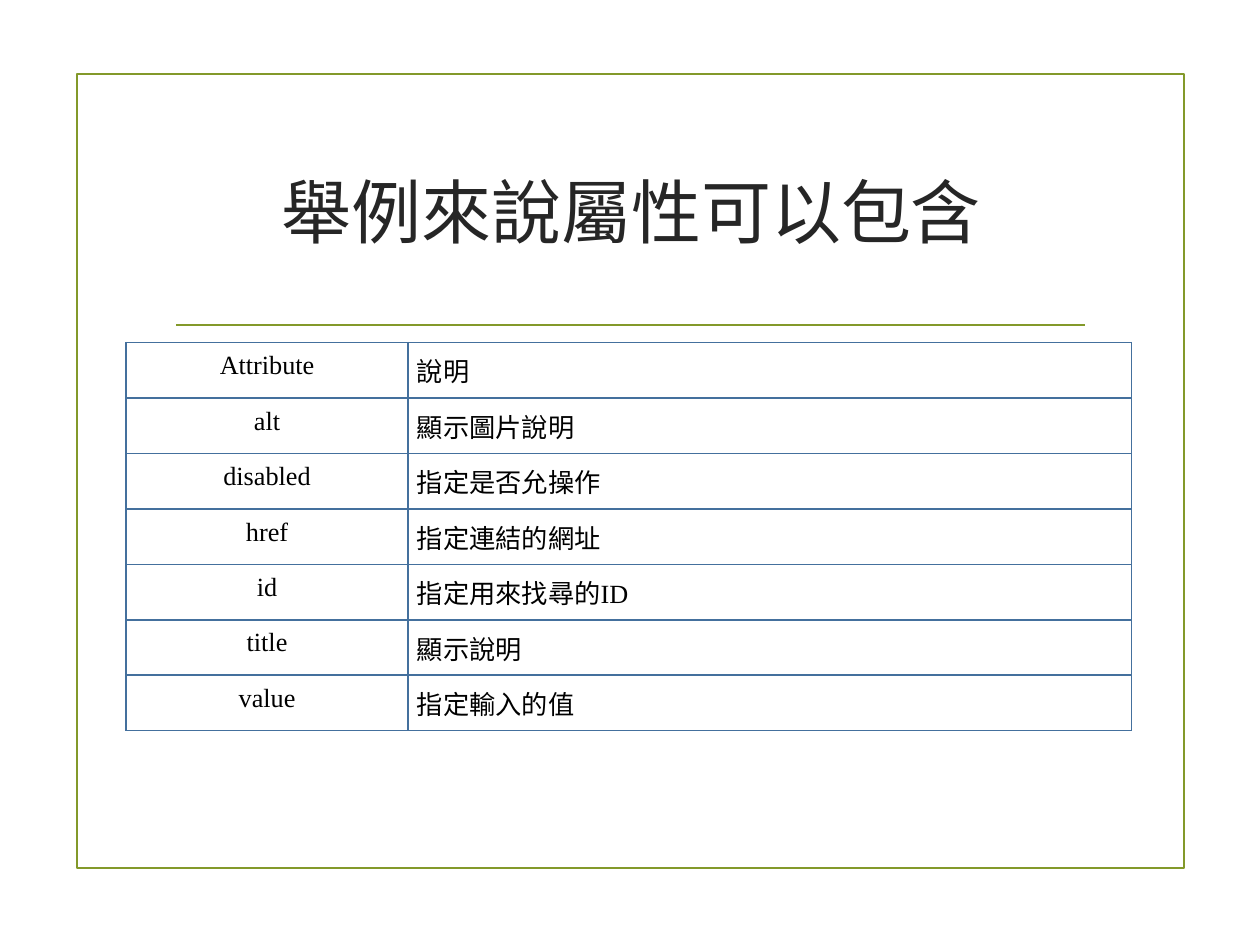
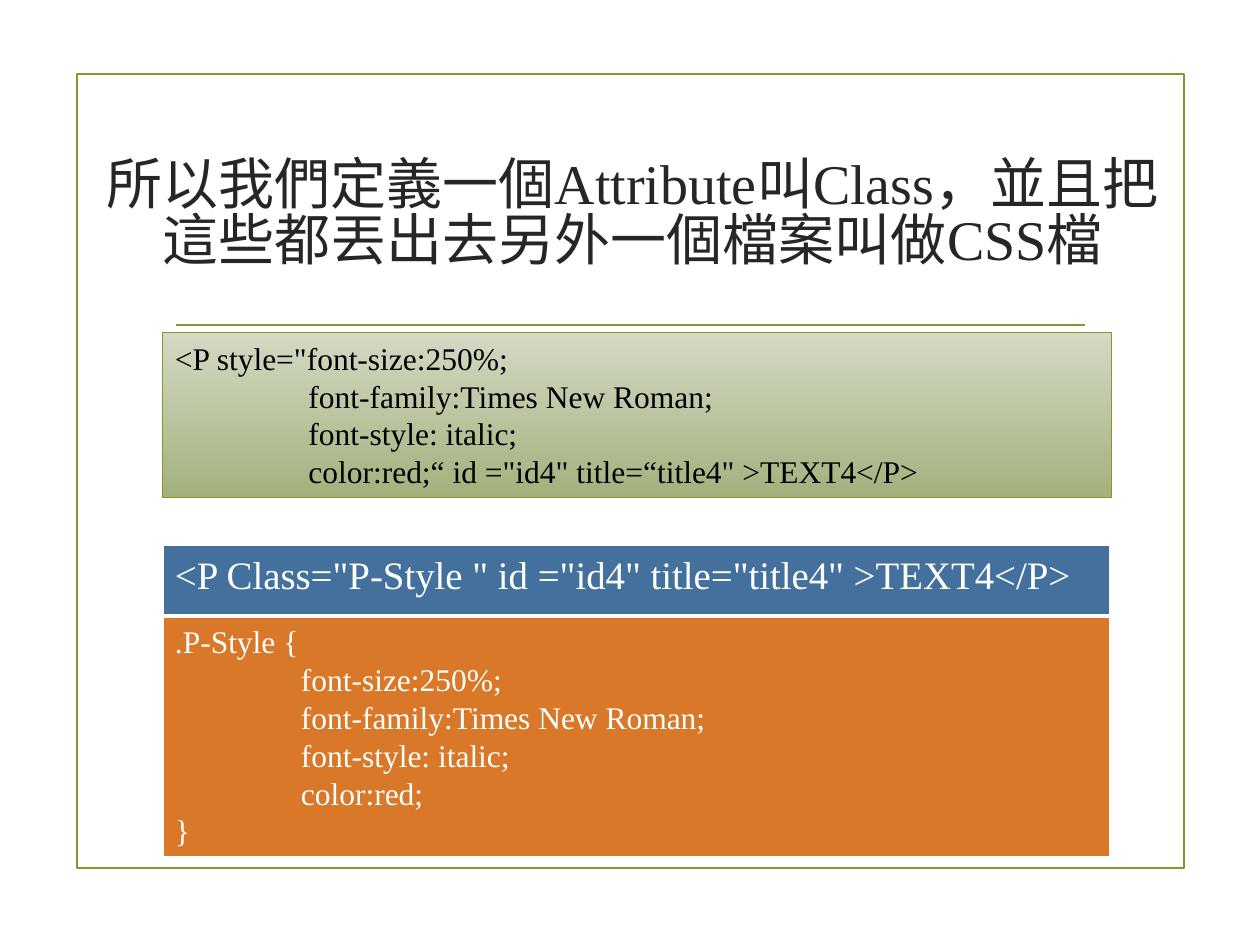
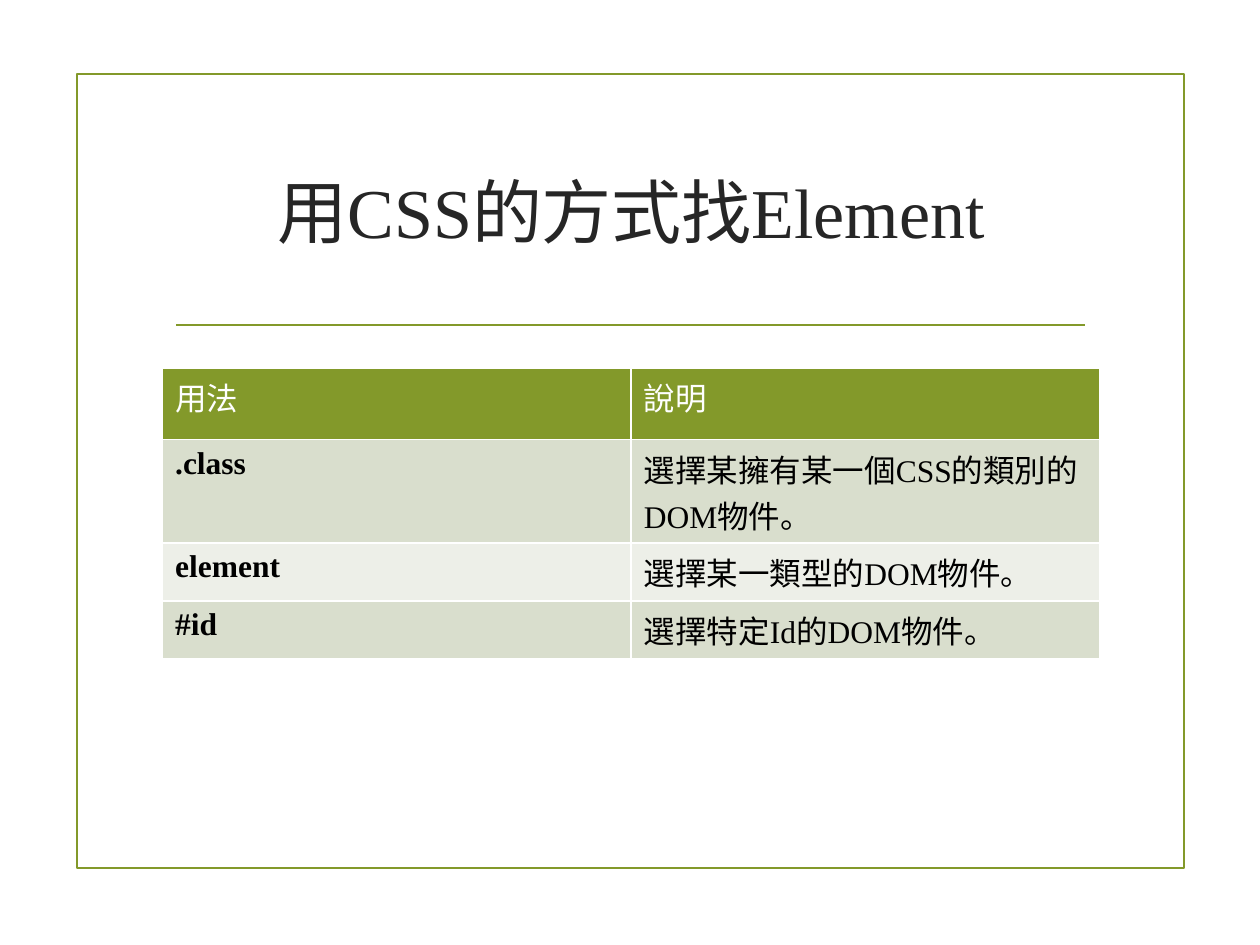
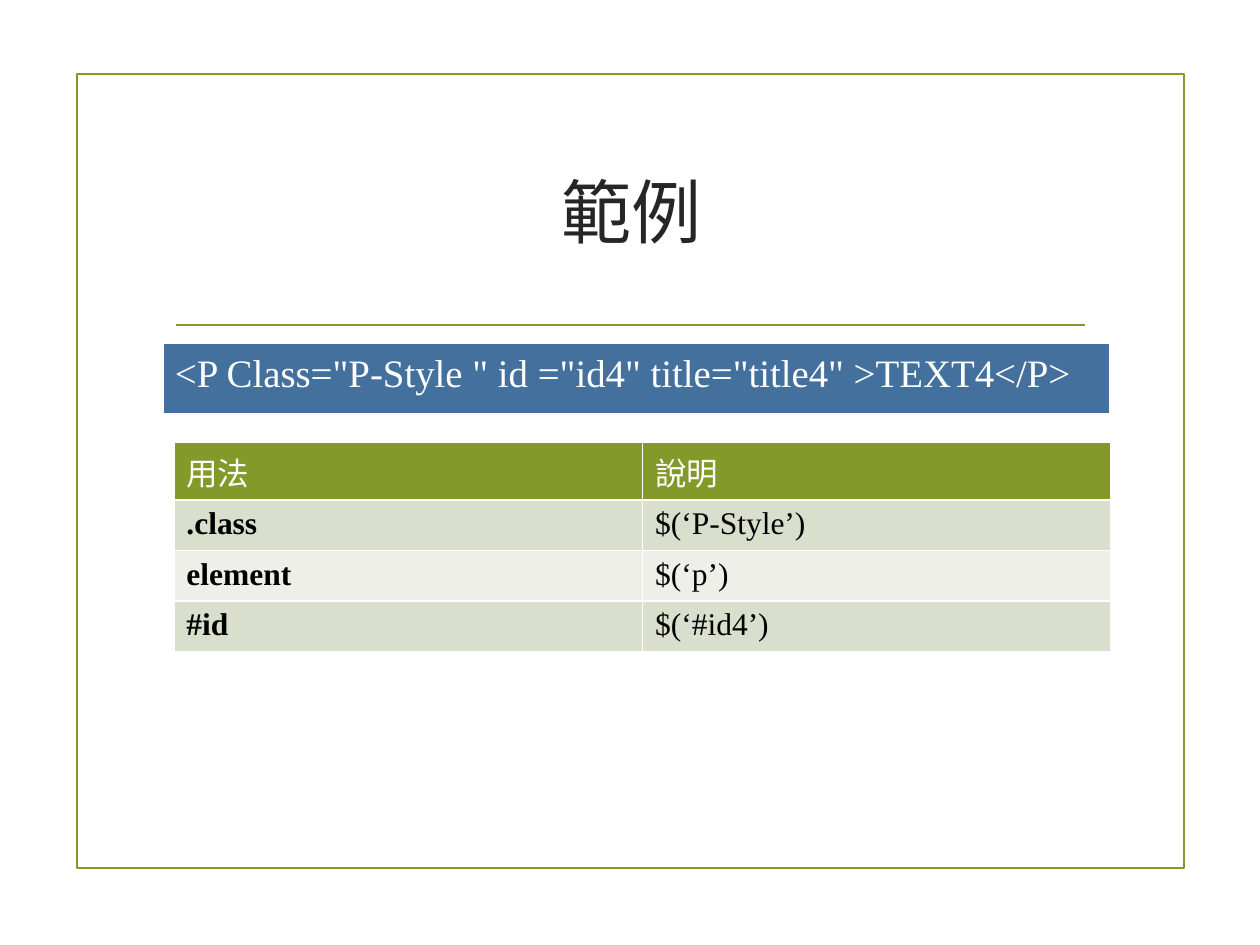
import pptx
import pptx.util
import pptx.dml.color
import pptx.enum.shapes
import pptx.enum.text
import pptx.oxml.ns
import lxml.etree

Inches = pptx.util.Inches
Pt = pptx.util.Pt
RGBColor = pptx.dml.color.RGBColor
ALIGN = pptx.enum.text.PP_ALIGN
ANCHOR = pptx.enum.text.MSO_ANCHOR
qn = pptx.oxml.ns.qn

GREEN = RGBColor(0x83, 0x99, 0x2A)
BLUE = RGBColor(0x44, 0x70, 0x9D)
ORANGE = RGBColor(0xD9, 0x78, 0x28)
WHITE = RGBColor(0xFF, 0xFF, 0xFF)
BLACK = RGBColor(0x00, 0x00, 0x00)
TITLE_GRAY = RGBColor(0x26, 0x26, 0x26)
BAND_DARK = RGBColor(0xD9, 0xDE, 0xCD)
BAND_LIGHT = RGBColor(0xED, 0xEF, 0xE8)
FADE_TOP = RGBColor(0xD3, 0xD9, 0xC4)
FADE_BOTTOM = RGBColor(0xA3, 0xB1, 0x7D)

FONT = "Times New Roman"
CODE_LEFT, CODE_WIDTH = 1.29, 7.53
TAG_LINE = '<P Class="P-Style " id ="id4" title="title4" >TEXT4</P>'

ATTRIBUTES = [
    ("Attribute", "說明"),
    ("alt", "顯示圖片說明"),
    ("disabled", "指定是否允操作"),
    ("href", "指定連結的網址"),
    ("id", "指定用來找尋的ID"),
    ("title", "顯示說明"),
    ("value", "指定輸入的值"),
]
SELECTORS = [
    ("用法", "說明"),
    (".class", "選擇某擁有某一個CSS的類別的DOM物件。"),
    ("element", "選擇某一類型的DOM物件。"),
    ("#id", "選擇特定Id的DOM物件。"),
]
EXAMPLES = [
    ("用法", "說明"),
    (".class", "$(‘P-Style’)"),
    ("element", "$(‘p’)"),
    ("#id", "$(‘#id4’)"),
]
# Each code line is (indented, text).
INLINE_STYLE = [
    (False, '<P style="font-size:250%;'),
    (True, "font-family:Times New Roman;"),
    (True, "font-style: italic;"),
    (True, 'color:red;“ id ="id4" title=“title4" >TEXT4</P>'),
]
STYLE_RULE = [
    (False, ".P-Style {"),
    (True, "font-size:250%;"),
    (True, "font-family:Times New Roman;"),
    (True, "font-style: italic;"),
    (True, "color:red;"),
    (False, "}"),
]


class LessonDeck:
    def __init__(self):
        self.deck = pptx.Presentation()
        self.deck.slide_width = Inches(10)
        self.deck.slide_height = Inches(7.5)
        self.slide = None

    def add_slide(self, title, left=1.29, width=7.44, size=40, spacing=0.9):
        """Start a slide with the green frame, the title and its rule."""
        self.slide = self.deck.slides.add_slide(self.deck.slide_layouts[6])
        frame = self.rectangle(0.61, 0.59, 8.79, 6.3, GREEN, 1.25)
        frame.fill.background()
        self.rule(1.4, 8.61, 2.58)
        box = self.slide.shapes.add_textbox(
            Inches(left), Inches(1), Inches(width), Inches(1.43))
        box.text_frame.word_wrap = True
        box.text_frame.vertical_anchor = ANCHOR.MIDDLE
        para = box.text_frame.paragraphs[0]
        para.alignment = ALIGN.CENTER
        para.line_spacing = spacing
        self.span(para, title, size, TITLE_GRAY)

    def span(self, para, text, size, color, bold=False):
        span = para.add_run()
        span.text = text
        span.font.name = FONT
        span.font.size = Pt(size)
        span.font.bold = bold
        span.font.color.rgb = color

    def rectangle(self, left, top, width, height, line_color, line_width):
        shape = self.slide.shapes.add_shape(
            pptx.enum.shapes.MSO_SHAPE.RECTANGLE,
            Inches(left), Inches(top), Inches(width), Inches(height))
        shape.shadow.inherit = False
        shape.line.color.rgb = line_color
        shape.line.width = Pt(line_width)
        return shape

    def rule(self, start, end, top):
        line = self.slide.shapes.add_connector(
            pptx.enum.shapes.MSO_CONNECTOR.STRAIGHT,
            Inches(start), Inches(top), Inches(end), Inches(top))
        line.line.color.rgb = GREEN
        line.line.width = Pt(1.25)
        properties = line._element.spPr
        lxml.etree.SubElement(properties, qn("a:effectLst"))

    def code_box(self, top, height, lines, fill, color=WHITE, size=18,
                 indent=1.0, line_color=WHITE, line_width=2):
        """Draw a code box; a pair of colours as fill makes a gradient."""
        box = self.rectangle(CODE_LEFT, top, CODE_WIDTH, height,
                             line_color, line_width)
        if isinstance(fill, list):
            box.fill.gradient()
            box.fill.gradient_angle = 270
            for stop, shade in zip(box.fill.gradient_stops, fill):
                stop.color.rgb = shade
                stop.position = float(fill.index(shade))
        else:
            box.fill.solid()
            box.fill.fore_color.rgb = fill
        frame = box.text_frame
        frame.word_wrap = True
        frame.vertical_anchor = ANCHOR.TOP
        for number, (indented, text) in enumerate(lines):
            para = frame.add_paragraph() if number else frame.paragraphs[0]
            para.alignment = ALIGN.LEFT
            if indented:
                para._p.get_or_add_pPr().set("marL", str(Inches(indent)))
            self.span(para, text, size, color)
        return box

    def tag_box(self, top):
        box = self.code_box(top, 0.57, [(False, TAG_LINE)], BLUE, size=22.2)
        para = box.text_frame.paragraphs[0]
        para.space_before = Pt(4.4)
        para.space_after = Pt(6)

    def table(self, left, top, widths, heights, rows):
        frame = self.slide.shapes.add_table(
            len(rows), len(widths), Inches(left), Inches(top),
            Inches(sum(widths)), Inches(sum(heights)))
        table = frame.table
        table.first_row = False
        table.horz_banding = False
        for column, width in zip(table.columns, widths):
            column.width = Inches(width)
        for row, height in zip(table.rows, heights):
            row.height = Inches(height)
        return table

    def cell(self, cell, text, size, color, border, fill=None, bold=False,
             alignment=ALIGN.LEFT):
        para = cell.text_frame.paragraphs[0]
        para.alignment = alignment
        self.span(para, text, size, color, bold)
        if fill is None:
            cell.fill.background()
        else:
            cell.fill.solid()
            cell.fill.fore_color.rgb = fill
        properties = cell._tc.get_or_add_tcPr()
        for place, side in enumerate(("a:lnL", "a:lnR", "a:lnT", "a:lnB")):
            line = lxml.etree.Element(qn(side), w=str(Pt(1)))
            solid = lxml.etree.SubElement(line, qn("a:solidFill"))
            lxml.etree.SubElement(solid, qn("a:srgbClr"), val=str(border))
            properties.insert(place, line)

    def outlined_table(self, left, top, widths, height, rows):
        table = self.table(left, top, widths, [height] * len(rows), rows)
        for r, row in enumerate(rows):
            for c, text in enumerate(row):
                cell = table.cell(r, c)
                cell.margin_left = cell.margin_right = Inches(0.07)
                cell.margin_top = cell.margin_bottom = Inches(0.07)
                self.cell(cell, text, 15, BLACK, BLUE,
                          alignment=ALIGN.LEFT if c else ALIGN.CENTER)

    def banded_table(self, left, top, heights, rows):
        table = self.table(left, top, [3.72, 3.72], heights, rows)
        for r, row in enumerate(rows):
            fill = (BAND_DARK if r % 2 else BAND_LIGHT) if r else GREEN
            for c, text in enumerate(row):
                self.cell(table.cell(r, c), text, 18, BLACK if r else WHITE,
                          WHITE, fill, bold=r > 0 and c == 0)


def main():
    lesson = LessonDeck()

    lesson.add_slide("舉例來說屬性可以包含")
    lesson.outlined_table(1, 2.72, [2.24, 5.74], 0.44, ATTRIBUTES)

    lesson.add_slide(
        "所以我們定義一個Attribute叫Class，並且把這些都丟出去另外一個檔案叫做CSS檔",
        left=0.67, width=8.7, size=32, spacing=0.83)
    lesson.tag_box(4.32)
    lesson.code_box(2.64, 1.31, INLINE_STYLE, [FADE_TOP, FADE_BOTTOM], BLACK,
                    indent=1.06, line_color=GREEN, line_width=0.75)
    lesson.code_box(4.89, 1.92, STYLE_RULE, ORANGE)

    lesson.add_slide("用CSS的方式找Element")
    lesson.banded_table(1.29, 2.92, [0.57, 0.82, 0.46, 0.46], SELECTORS)

    lesson.add_slide("範例")
    lesson.tag_box(2.72)
    lesson.banded_table(1.38, 3.51, [0.46, 0.38, 0.38, 0.38], EXAMPLES)

    lesson.deck.save("out.pptx")


if __name__ == "__main__":
    main()
